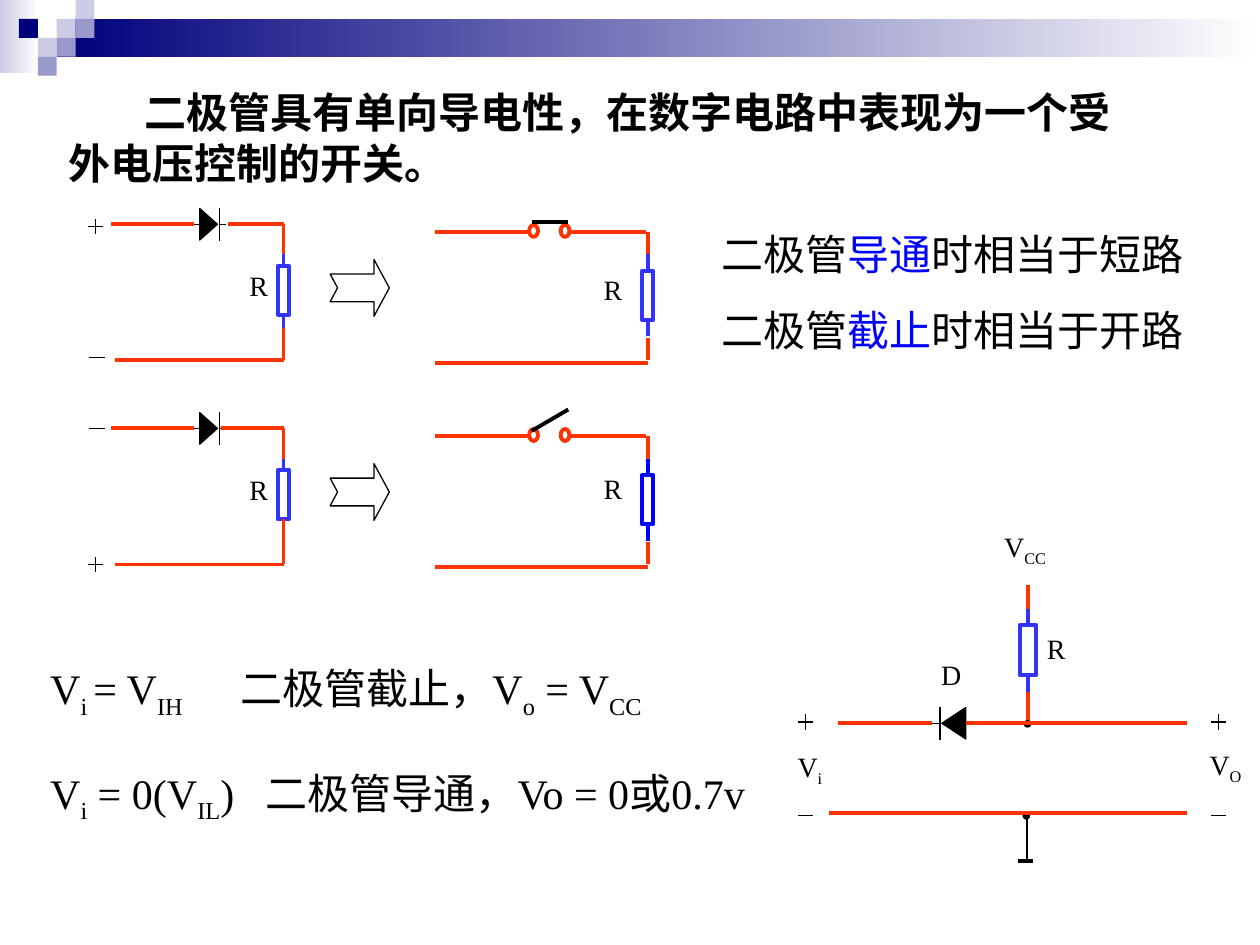
from lxml.etree import SubElement
from pptx import Presentation
from pptx.dml.color import RGBColor
from pptx.enum.shapes import MSO_CONNECTOR, MSO_SHAPE
from pptx.enum.text import MSO_ANCHOR, MSO_AUTO_SIZE, PP_ALIGN
from pptx.oxml.ns import qn
from pptx.util import Inches, Pt

# The slide is a grid of 100 columns by 75 rows of square cells
CELL = Inches(10) // 100
WIRE, RESISTOR, STRONG_BLUE = "FF3300", "3333FF", "0000FF"
BLACK, WHITE = "000000", "FFFFFF"
NAVY, PALE, MID = "00007D", "CCCCE6", "9999CC"
SERIF, SANS = "Times New Roman", "Arial"
THIN, THICK = 0.75, 2.25
ROW_STEP = 16.2


def cells(*values):
    return [round(value * CELL) for value in values]


def rgb(value):
    return RGBColor.from_string(value)


def write(paragraph, text, size=24, font=SERIF, color=BLACK, bold=False, sub=False):
    run = paragraph.add_run()
    run.text = text
    run.font.size, run.font.name, run.font.bold = Pt(size), font, bold
    run.font.color.rgb = rgb(color)
    if sub:
        run._r.get_or_add_rPr().set("baseline", "-25000")


def frame(holder, inset=(1, 0.5)):
    text_frame = holder.text_frame
    text_frame.word_wrap = True
    text_frame.auto_size = MSO_AUTO_SIZE.NONE
    text_frame.vertical_anchor = MSO_ANCHOR.TOP
    side, end = cells(*inset)
    text_frame.margin_left = text_frame.margin_right = side
    text_frame.margin_top = text_frame.margin_bottom = end
    return text_frame


def place(holder, *box):
    holder.left, holder.top, holder.width, holder.height = cells(*box)


def block(slide, kind, box, fill=WHITE, line=None, weight=THICK):
    shape = slide.shapes.add_shape(kind, *cells(*box))
    shape.shadow.inherit = False
    if isinstance(fill, tuple):
        shape.fill.gradient()
        shape.fill.gradient_angle = 0
        for stop, color in zip(shape.fill.gradient_stops, fill):
            stop.color.rgb = rgb(color)
    else:
        shape.fill.solid()
        shape.fill.fore_color.rgb = rgb(fill)
    if line:
        shape.line.color.rgb = rgb(line)
        shape.line.width = Pt(weight)
    else:
        shape.line.fill.background()
    return shape


def stroke(slide, x1, y1, x2, y2, color=WIRE, weight=THICK):
    line = slide.shapes.add_connector(MSO_CONNECTOR.STRAIGHT, *cells(x1, y1, x2, y2))
    line.line.color.rgb = rgb(color)
    line.line.width = Pt(weight)
    SubElement(line._element.spPr, qn("a:effectLst"))


def label(slide, box, text, subscript=""):
    paragraph = frame(block(slide, MSO_SHAPE.RECTANGLE, box), (0, 0)).paragraphs[0]
    paragraph.alignment = PP_ALIGN.JUSTIFY
    write(paragraph, text, size=16)
    if subscript:
        write(paragraph, subscript, size=16, sub=True)


def polarity(slide, x, y, positive):
    stroke(slide, x - 0.6, y, x + 0.6, y, BLACK, THIN)
    if positive:
        stroke(slide, x, y - 0.6, x, y + 0.6, BLACK, THIN)


def resistor(slide, x, y, width=0.9, height=3.9, color=RESISTOR):
    block(slide, MSO_SHAPE.RECTANGLE, (x - width / 2, y, width, height), line=color)
    stroke(slide, x, y + height, x, y + height + 1.3, color)
    stroke(slide, x, y, x, y - 1.3, color)


def diode(slide, x, y, length, rotation, bar, leads):
    """Triangle centred on x, y with its cathode bar and two thin leads."""
    triangle = block(slide, MSO_SHAPE.ISOSCELES_TRIANGLE,
                     (x - 1.25, y - length / 2, 2.5, length), BLACK, BLACK, THIN)
    triangle.rotation = rotation
    for start, end in leads:
        stroke(slide, start, y, end, y, BLACK, THIN)
    stroke(slide, bar, y - 1.3, bar, y + 1.3, BLACK, THIN)


def diode_circuit(slide, y, conducting):
    diode(slide, 16.55, y, 1.4, 90, 17.4, [(15.1, 16), (17.4, 17.9)])
    resistor(slide, 22.5, y + 3.3)
    stroke(slide, 15.4, y, 8.8, y)
    stroke(slide, 18.1 if conducting else 17.5, y, 22.5, y)
    stroke(slide, 22.5, y, 22.5, y + 2.4)
    stroke(slide, 22.5, y + (8.2 if conducting else 7.2), 22.5, y + 10.8)
    stroke(slide, 22.5, y + 10.8, 9.1, y + 10.8)
    label(slide, (19.8, y + 3.5, 1.9, 4.1), "R")
    polarity(slide, 7.6, y + (0.2 if conducting else 10.8), True)
    polarity(slide, 7.7, y + (10.6 if conducting else 0), False)


def switch_circuit(slide, y, closed):
    arrow = block(slide, MSO_SHAPE.NOTCHED_RIGHT_ARROW,
                  (26.2, y + 2.8, 4.7, 4.5), line=BLACK, weight=THIN)
    arrow.adjustments[0], arrow.adjustments[1] = 0.49, 0.27
    stroke(slide, 34.5, y + 0.6, 42, y + 0.6)
    for contact in (42, 44.5):
        block(slide, MSO_SHAPE.OVAL, (contact, y + 0.05, 0.7, 0.95), line=WIRE)
    stroke(slide, 45.3, y + 0.6, 51.3, y + 0.6)
    stroke(slide, 51.4, y + 0.6, 51.4, y + 4.1)
    resistor(slide, 51.4, y + 3.7, color=RESISTOR if closed else STRONG_BLUE)
    stroke(slide, 51.4, y + 9, 51.4, y + 10.8)
    stroke(slide, 51.4, y + 11, 34.5, y + 11)
    hinge, tip = (-0.2, -0.2) if closed else (0.2, -1.5)
    stroke(slide, 42.2, y + hinge, 45.1, y + tip, BLACK)
    label(slide, (47.9, y + (3.8 if closed else 3.4), 1.9, 4.1), "R")


def gate_circuit(slide):
    top, bottom, branch = 57.4, 64.5, 81.6
    # Supply branch and ground
    stroke(slide, branch, top, branch, 53.7)
    resistor(slide, branch, 49.6, width=1.3, height=4)
    stroke(slide, branch, 48.3, branch, 46.4)
    stroke(slide, 81.5, 64.7, 81.5, 68.3, BLACK, THIN)
    stroke(slide, 80.8, 68.3, 82, 68.3, BLACK)
    for x, y in ((81.3, 57.2), (81.2, 64.5)):
        block(slide, MSO_SHAPE.OVAL, (x, y, 0.5, 0.5), BLACK, BLACK, THIN)
    # Labels and terminals
    label(slide, (79.7, 42, 4.3, 3.1), "V", "CC")
    label(slide, (83.1, 50.1, 4, 3.6), "R")
    label(slide, (74.7, 52.2, 2.8, 2.5), "D")
    label(slide, (96, 59.3, 4, 3.7), "V", "O")
    label(slide, (63.3, 59.5, 4, 3.7), "V", "i")
    for x in (63.95, 96.7):
        polarity(slide, x, 57.3, True)
        polarity(slide, x, 64.7, False)
    # Rails
    diode(slide, 75.7, top, 1.9, 270, 74.6, [(76.5, 77.7), (74.6, 73.9)])
    stroke(slide, 65.8, bottom, 94.2, bottom)
    stroke(slide, 76.7, top, 94.2, top)
    stroke(slide, 66.5, top, 74, top)


def master_band(slide):
    block(slide, MSO_SHAPE.RECTANGLE, (0, 0, 3.1, 5.8), (PALE, WHITE))
    block(slide, MSO_SHAPE.RECTANGLE, (4.5, 1.5, 95.5, 3), (NAVY, WHITE))
    squares = [(3, 1, PALE), (4, 0, PALE), (4, 1, MID), (2, 2, PALE),
               (1, 1, NAVY), (3, 2, MID), (2, 3, MID)]
    for column, row, color in squares:
        block(slide, MSO_SHAPE.RECTANGLE, (1.5 * column, 1.5 * row, 1.5, 1.5), color)


def heading(title):
    place(title, 4.4, 6.4, 87.9, 9)
    paragraph = frame(title).paragraphs[0]
    paragraph.alignment = PP_ALIGN.LEFT
    paragraph._p.get_or_add_pPr().set("indent", str(cells(6.1)[0]))
    write(paragraph, "二极管具有单向导电性，在数字电路中表现为一个受外电压控制的开关。", bold=True)


def conclusions(body):
    place(body, 56.3, 17.6, 40, 11.1)
    text_frame = frame(body)
    for index, (state, result) in enumerate((("导通", "短路"), ("截止", "开路"))):
        paragraph = text_frame.add_paragraph() if index else text_frame.paragraphs[0]
        properties = paragraph._p.get_or_add_pPr()
        properties.set("marL", "0")
        properties.set("indent", "0")
        paragraph.space_before = Pt(15 * index)
        SubElement(properties, qn("a:buNone"))
        write(paragraph, "二极管", font=SANS)
        write(paragraph, state, font=SANS, color=STRONG_BLUE)
        write(paragraph, f"时相当于{result}", font=SANS)


def formulas(slide):
    text_frame = frame(slide.shapes.add_textbox(*cells(3, 52.1, 65.5, 14.7)))
    # Each line: tab stop, then pieces of text with every second one a subscript
    lines = [(15.1, ["V", "i ", "= V", "IH", "\t二极管截止，V", "o", " = V", "CC"]),
             (17.1, ["V", "i", " = 0(V", "IL", ")\t二极管导通，Vo = 0或0.7v"])]
    for index, (stop, pieces) in enumerate(lines):
        paragraph = text_frame.add_paragraph() if index else text_frame.paragraphs[0]
        paragraph.space_before = Pt(27 * index)
        tabs = SubElement(paragraph._p.get_or_add_pPr(), qn("a:tabLst"))
        SubElement(tabs, qn("a:tab"), pos=str(cells(stop)[0]), algn="l")
        for position, piece in enumerate(pieces):
            write(paragraph, piece, sub=position % 2 == 1)


def main():
    presentation = Presentation()
    presentation.slide_width, presentation.slide_height = cells(100, 75)
    slide = presentation.slides.add_slide(presentation.slide_layouts[1])
    master_band(slide)
    gate_circuit(slide)
    for row, conducting in enumerate((True, False)):
        y = 17.8 + row * ROW_STEP
        diode_circuit(slide, y, conducting)
        switch_circuit(slide, y, conducting)
    conclusions(slide.placeholders[1])
    formulas(slide)
    heading(slide.shapes.title)
    presentation.save("out.pptx")


if __name__ == "__main__":
    main()
